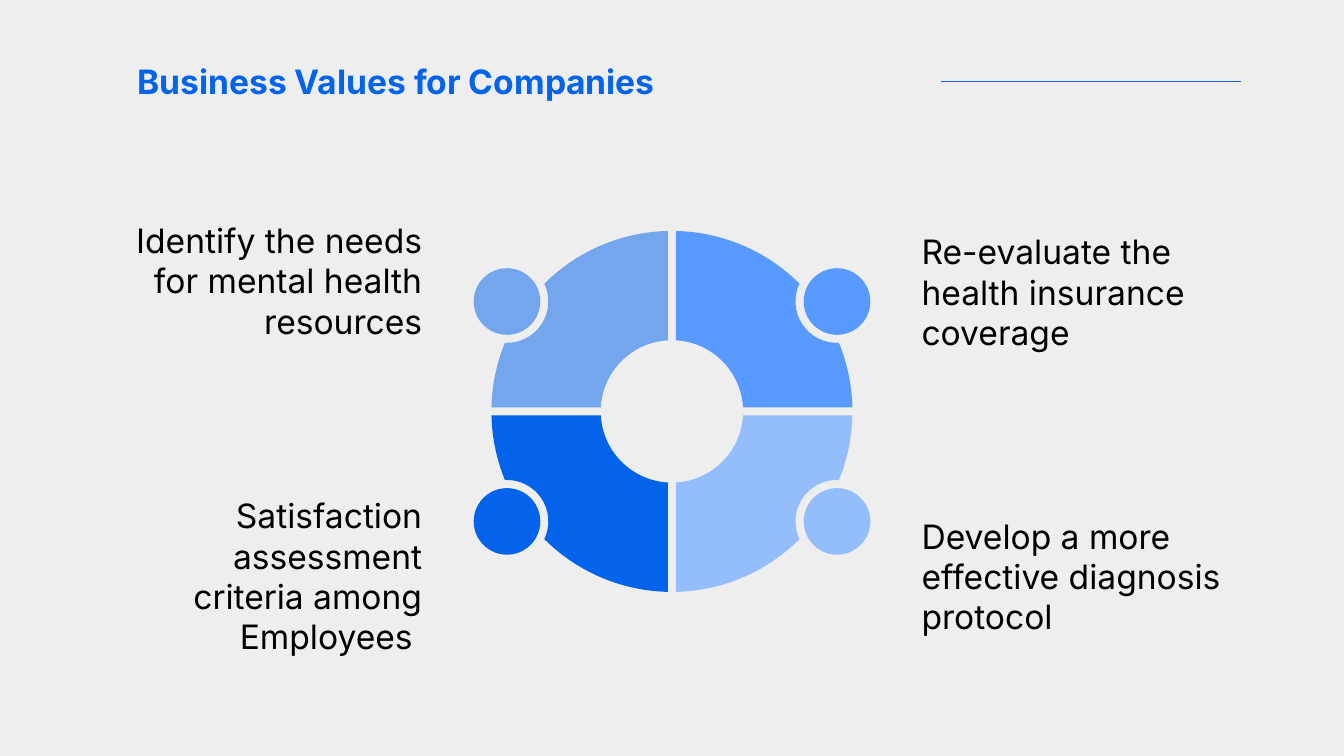
import math
from dataclasses import dataclass
from pptx import Presentation, util as u
from pptx.dml.color import RGBColor
from pptx.enum import shapes, text
from pptx.oxml.ns import qn
from lxml import etree

COLORS = {"bg": "EEEEEE", "blue": "0363EB", "pale": "94BDFC", "bright": "589AFF",
          "soft": "74A6ED", "text": "000000"}
CENTER = (360, 220.45)
OUTER, INNER, HALF_GAP = 96.7, 38.15, 2.1
KNOB_DX, KNOB_DY, KNOB_R, NOTCH_R = 88.4, 58.9, 17.85, 22.2
INSET = 18
BODY = {"name": "Inter", "size": u.Pt(18), "bold": False}
HEADING = BODY | {"bold": True}
Point = tuple[float, float]


@dataclass
class Quadrant:
    sx: int
    sy: int
    color: str


@dataclass
class Label:
    text: str
    left: float
    top: float
    width: float
    height: float = 40.3
    align: text.PP_ALIGN = text.PP_ALIGN.LEFT
    color: str = "text"
    font: dict | None = None


QUADRANTS = [Quadrant(-1, 1, "blue"), Quadrant(1, 1, "pale"),
             Quadrant(1, -1, "bright"), Quadrant(-1, -1, "soft")]
LABELS = [
    Label("Business Values for Companies", 55.6, 19.9, 448.4, 46.8,
          color="blue", font=HEADING),
    Label("Identify the needs for mental health resources", 46.2, 130.1, 198,
          align=text.PP_ALIGN.RIGHT),
    Label("Re-evaluate the health insurance coverage", 475.7, 136.1, 177.1),
    Label("Satisfaction assessment criteria among Employees ", 67.1, 288.4, 177.1,
          align=text.PP_ALIGN.RIGHT),
    Label("Develop a more effective diagnosis protocol", 475.7, 288.4, 204.5),
]


def rgb(name: str) -> RGBColor:
    return RGBColor.from_string(COLORS[name])


def polar(cx: float, cy: float, r: float, angle: float) -> Point:
    return cx + r * math.cos(angle), cy + r * math.sin(angle)


def curve(cx: float, cy: float, r: float, start: float, end: float) -> list[Point]:
    k = 4 / 3 * math.tan((end - start) / 4)
    (x1, y1), (x2, y2) = polar(cx, cy, r, start), polar(cx, cy, r, end)
    return [(x1 - k * (y1 - cy), y1 + k * (x1 - cx)),
            (x2 + k * (y2 - cy), y2 - k * (x2 - cx)), (x2, y2)]


def quadrant_outline() -> tuple[Point, list[list[Point]]]:
    dist = math.hypot(KNOB_DX, KNOB_DY)
    phi = math.atan2(KNOB_DY, KNOB_DX)
    alpha = math.acos((OUTER**2 + dist**2 - NOTCH_R**2) / (2 * OUTER * dist))
    beta = math.acos((NOTCH_R**2 + dist**2 - OUTER**2) / (2 * NOTCH_R * dist))
    outer_edge = math.asin(HALF_GAP / OUTER)
    inner_edge = math.asin(HALF_GAP / INNER)
    quarter, back = math.pi / 2, phi + math.pi
    return polar(0, 0, OUTER, outer_edge), [
        curve(0, 0, OUTER, outer_edge, phi - alpha),
        curve(KNOB_DX, KNOB_DY, NOTCH_R, back + beta, back),
        curve(KNOB_DX, KNOB_DY, NOTCH_R, back, back - beta),
        curve(0, 0, OUTER, phi + alpha, quarter - outer_edge),
        [polar(0, 0, INNER, quarter - inner_edge)],
        curve(0, 0, INNER, quarter - inner_edge, inner_edge)]


def bend_segments(sp, segments: list[list[Point]]) -> None:
    lines = iter(list(sp._element.iter(qn("a:lnTo"))))
    for segment in segments:
        group = [next(lines) for _ in segment]
        if len(group) == 3:
            bezier = etree.Element(qn("a:cubicBezTo"))
            group[0].addprevious(bezier)
            for line in group:
                bezier.append(line[0])
                line.getparent().remove(line)


def paint(sp, color: str) -> None:
    sp.shadow.inherit = False
    sp.fill.solid()
    sp.fill.fore_color.rgb = rgb(color)
    sp.line.fill.background()


def draw_quadrant(ring, q: Quadrant) -> None:
    cx, cy = CENTER
    start, segments = quadrant_outline()
    points = [(u.Pt(cx + q.sx * x), u.Pt(cy + q.sy * y))
              for x, y in [start] + sum(segments, [])]
    builder = ring.shapes.build_freeform(*points[0])
    builder.add_line_segments(points[1:], close=True)
    sector = builder.convert_to_shape()
    bend_segments(sector, segments)
    paint(sector, q.color)
    knob = ring.shapes.add_shape(
        shapes.MSO_SHAPE.OVAL, u.Pt(cx + q.sx * KNOB_DX - KNOB_R),
        u.Pt(cy + q.sy * KNOB_DY - KNOB_R), u.Pt(2 * KNOB_R), u.Pt(2 * KNOB_R))
    paint(knob, q.color)


def draw_label(s, label: Label) -> None:
    sp = s.shapes.add_textbox(u.Pt(label.left), u.Pt(label.top),
                              u.Pt(label.width), u.Pt(label.height))
    tf = sp.text_frame
    frame = {"word_wrap": True, "vertical_anchor": text.MSO_ANCHOR.MIDDLE}
    frame |= {f"margin_{side}": u.Pt(INSET) for side in ("left", "top", "right", "bottom")}
    for key, value in frame.items():
        setattr(tf, key, value)
    p = tf.paragraphs[0]
    p.alignment = label.align
    r = p.add_run()
    r.text = label.text
    for key, value in (label.font or BODY).items():
        setattr(r.font, key, value)
    r.font.color.rgb = rgb(label.color)


def draw_rule(s, left: float, right: float, y: float) -> None:
    rule = s.shapes.add_connector(shapes.MSO_CONNECTOR.STRAIGHT,
                                  u.Pt(left), u.Pt(y), u.Pt(right), u.Pt(y))
    rule.line.color.rgb = rgb("blue")
    rule.line.width = u.Pt(0.75)
    etree.SubElement(rule._element.spPr, qn("a:effectLst"))


def main() -> None:
    prs = Presentation()
    prs.slide_width, prs.slide_height = u.Pt(720), u.Pt(405)
    s = prs.slides.add_slide(prs.slide_layouts[6])
    s.background.fill.solid()
    s.background.fill.fore_color.rgb = rgb("bg")
    ring = s.shapes.add_group_shape()
    for q in QUADRANTS:
        draw_quadrant(ring, q)
    draw_rule(s, 504, 665, 43.7)
    for label in LABELS:
        draw_label(s, label)
    prs.save("out.pptx")


if __name__ == "__main__":
    main()
